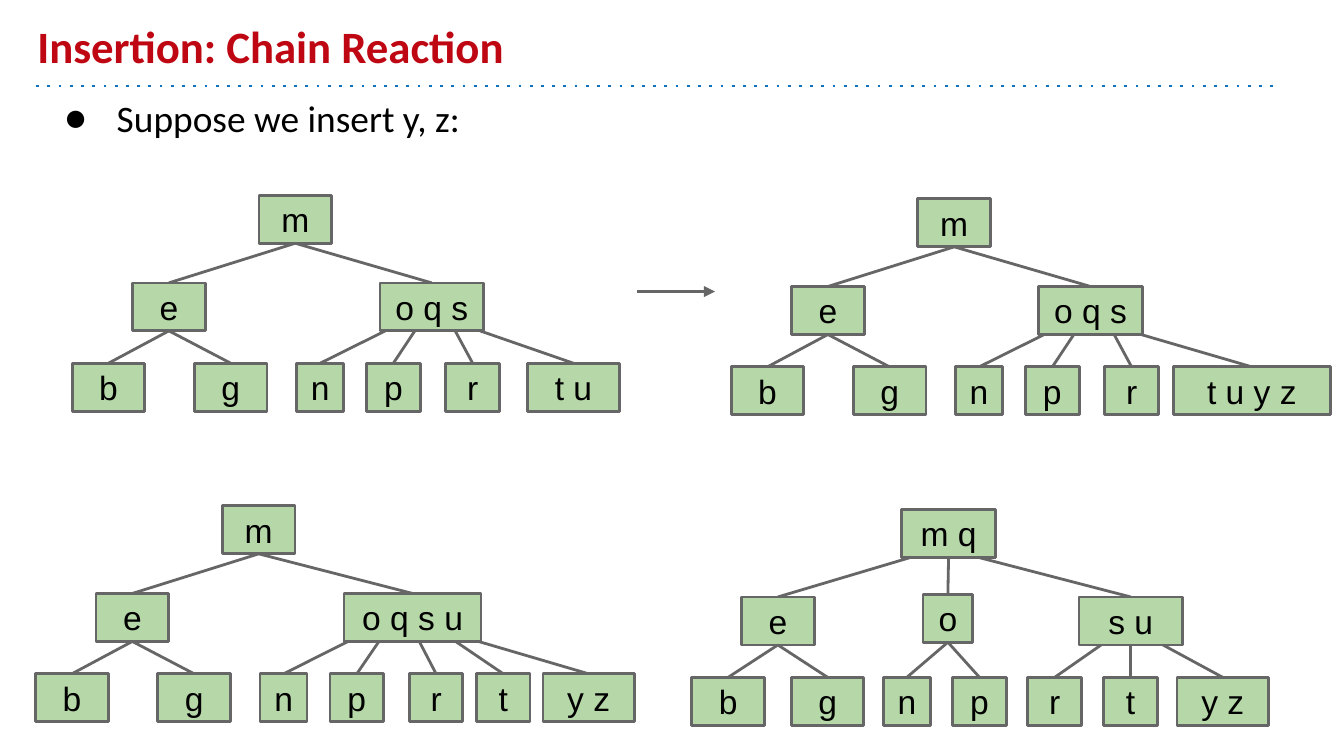
from dataclasses import dataclass

from lxml import etree
from pptx import Presentation
from pptx.dml.color import RGBColor
from pptx.enum.shapes import MSO_CONNECTOR, MSO_SHAPE
from pptx.enum.text import MSO_ANCHOR, PP_ALIGN
from pptx.oxml.ns import qn
from pptx.util import Inches, Length, Pt

RECTANGLE = MSO_SHAPE.RECTANGLE
STRAIGHT = MSO_CONNECTOR.STRAIGHT
MIDDLE, BOTTOM, TOP = MSO_ANCHOR.MIDDLE, MSO_ANCHOR.BOTTOM, MSO_ANCHOR.TOP
CENTER = PP_ALIGN.CENTER

# The slide is a grid of 100 columns by 56.25 rows of square cells
CELL = 0.1
COLUMNS, ROWS = 100, 56.25
NODE_HEIGHT = 3.57
LEVEL_TOPS = (0, 6.52, 12.5)

RED, BLUE, BLACK = "BE0712", "1072BD", "000000"
GREEN, GRAY = "B6D7A8", "666666"


@dataclass
class Node:
    keys: str
    center: float  # columns from the root's centre
    width: float = 5.4
    hook: float = 0  # where the edge leaves the parent, from the parent's centre
    children: tuple["Node", ...] = ()
    lift: float = 0


@dataclass
class Tree:
    column: float
    row: float
    root: Node


def grid(cells: float) -> Length:
    return Inches(cells * CELL)


def color(value: str) -> RGBColor:
    return RGBColor.from_string(value)


def set_text(shape, text: str, font: str, size: float, anchor, ink: str = BLACK):
    frame = shape.text_frame
    frame.word_wrap = True
    frame.vertical_anchor = anchor
    frame.margin_left = frame.margin_right = grid(1)
    frame.margin_top = frame.margin_bottom = grid(1)
    frame.text = text
    run_font = frame.paragraphs[0].runs[0].font
    run_font.name, run_font.size = font, Pt(size)
    run_font.color.rgb = color(ink)
    return frame.paragraphs[0]


def add_line(slide, x1: float, y1: float, x2: float, y2: float, ink: str = GRAY):
    line = slide.shapes.add_connector(STRAIGHT, grid(x1), grid(y1), grid(x2), grid(y2))
    line.line.color.rgb = color(ink)
    line.line.width = Pt(1.5)
    etree.SubElement(line._element.spPr, qn("a:effectLst"))
    return line


def style_line(line, tag: str, **attributes: str) -> None:
    etree.SubElement(line._element.spPr.find(qn("a:ln")), qn(tag), **attributes)


def draw_node(slide, tree: Tree, node: Node, level: int = 0) -> None:
    center = tree.column + node.center
    top = tree.row + LEVEL_TOPS[level] - node.lift
    box = slide.shapes.add_shape(RECTANGLE, grid(center - node.width / 2), grid(top),
                                 grid(node.width), grid(NODE_HEIGHT))
    box.shadow.inherit = False
    box.fill.solid()
    box.fill.fore_color.rgb = color(GREEN)
    box.line.color.rgb = color(GRAY)
    box.line.width = Pt(1.5)
    set_text(box, node.keys, "Arial", 18, MIDDLE).alignment = CENTER
    for child in node.children:
        child_top = tree.row + LEVEL_TOPS[level + 1] - child.lift
        add_line(slide, center + child.hook, top + NODE_HEIGHT,
                 tree.column + child.center, child_top)
        draw_node(slide, tree, child, level + 1)


def add_heading(slide) -> None:
    rule = add_line(slide, 2.7, 6.4, 95, 6.4, BLUE)
    style_line(rule, "a:prstDash", val="dot")
    title = slide.shapes.add_textbox(grid(1.8), grid(1), grid(90), grid(5.4))
    paragraph = set_text(title, "Insertion: Chain Reaction", "Calibri", 24, BOTTOM, RED)
    paragraph.runs[0].font.bold = True


def add_bullet(slide) -> None:
    body = slide.shapes.add_textbox(grid(2.7), grid(6.1), grid(94.1), grid(6.6))
    paragraph = set_text(body, "Suppose we insert y, z:", "Calibri", 20, TOP)
    properties = paragraph._p.get_or_add_pPr()
    properties.set("marL", str(grid(5)))
    properties.set("indent", str(grid(-3.9)))
    bullet_color = etree.SubElement(properties, qn("a:buClr"))
    etree.SubElement(bullet_color, qn("a:srgbClr"), val=BLACK)
    etree.SubElement(properties, qn("a:buFont"), typeface="Calibri")
    etree.SubElement(properties, qn("a:buChar"), char="●")


def left_branch() -> Node:
    return Node("e", -9.4, children=(Node("b", -13.9), Node("g", -4.8)))


def leaves_npr(hooks: tuple[float, float, float]) -> tuple[Node, ...]:
    return (Node("n", 1.85, 3.5, hooks[0]), Node("p", 7.3, 4, hooks[1]),
            Node("r", 13.2, 4, hooks[2]))


def three_key_tree(column: float, row: float, last_leaf: Node) -> Tree:
    leaves = leaves_npr((-3.45, -1.25, 1.75)) + (last_leaf,)
    right = Node("o q s", 10.15, 7.7, children=leaves)
    return Tree(column, row, Node("m", 0, children=(left_branch(), right)))


# Before and after inserting y and z
START = three_key_tree(21.97, 14.53, Node("t u", 20.7, 6.8, 3.6))
FULL_LEAF = three_key_tree(71, 14.8, Node("t u y z", 22.15, 11.7, 3.75))

# The leaf splits and pushes u up
LEAF_SPLIT = Tree(19.25, 37.64, Node("m", 0, children=(
    left_branch(),
    Node("o q s u", 11.45, 10.2, children=leaves_npr((-4.8, -2.5, 0.5)) + (
        Node("t", 18.2, 4, 3.2), Node("y z", 24.55, 6.8, 4.9))),
)))

# The inner node splits and pushes q into the root
ROOT_GROWS = Tree(70.58, 37.9, Node("m q", 0, 7, children=(
    Node("e", -12.7, hook=-2.8, children=(Node("b", -16.4), Node("g", -9))),
    Node("o", -0.05, 3.7, lift=0.2, children=(
        Node("n", -3.1, 3.5), Node("p", 2.3, 4))),
    Node("s u", 13.55, 7.7, 2.2, (
        Node("r", 7.9, 4, -2.2), Node("t", 13.55, 4), Node("y z", 20.4, 6.8, 2.4))),
)))


def main() -> None:
    deck = Presentation()
    deck.slide_width, deck.slide_height = grid(COLUMNS), grid(ROWS)
    slide = deck.slides.add_slide(deck.slide_layouts[6])
    add_heading(slide)
    add_bullet(slide)
    for tree in (START, FULL_LEAF, LEAF_SPLIT, ROOT_GROWS):
        draw_node(slide, tree, tree.root)

    # Arrow from the first tree to the second
    arrow = add_line(slide, 47.4, 21.7, 53.2, 21.7)
    style_line(arrow, "a:tailEnd", type="triangle")
    deck.save("out.pptx")


if __name__ == "__main__":
    main()
